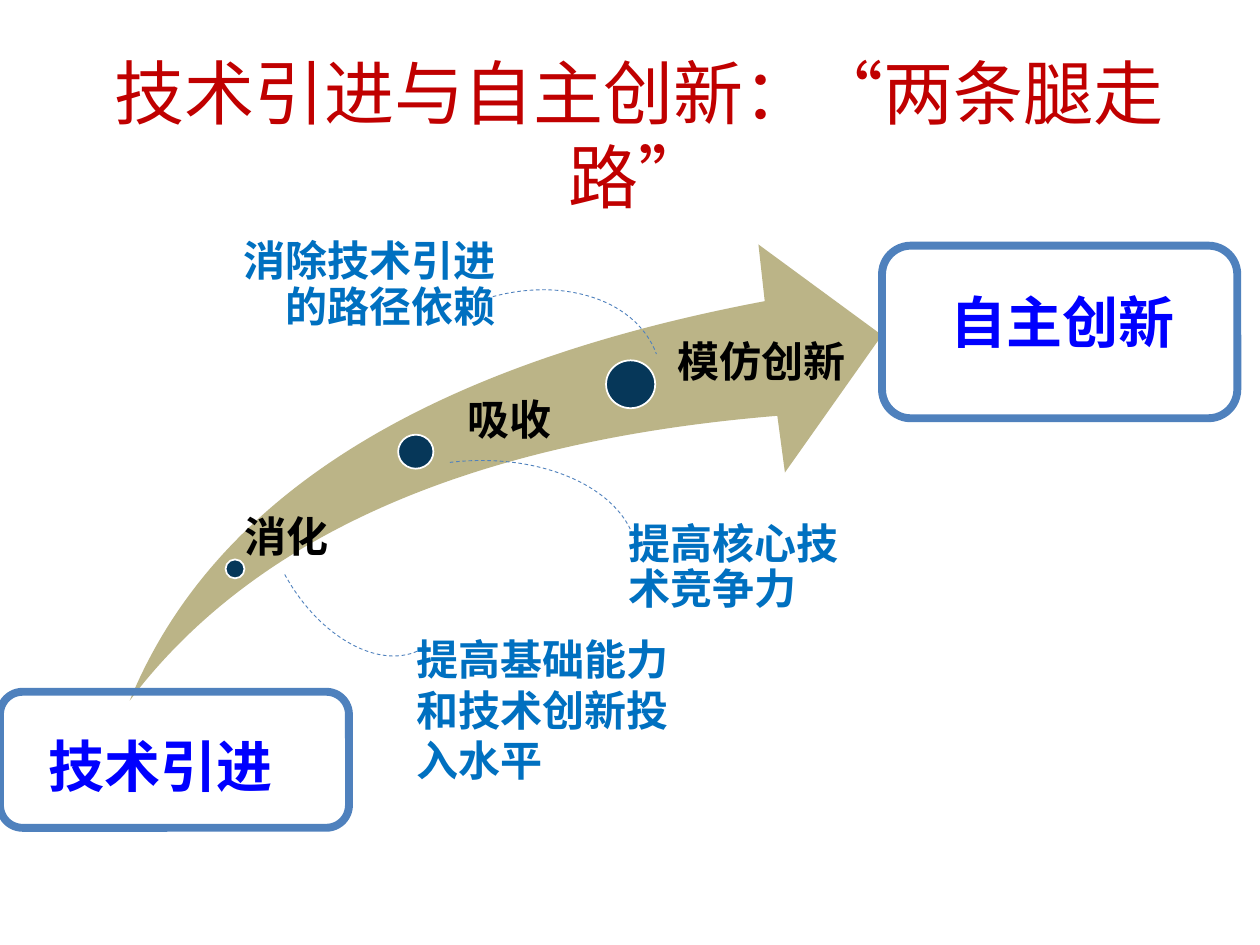
from typing import NamedTuple

from lxml import etree
from pptx import Presentation
from pptx.dml.color import RGBColor
from pptx.enum.dml import MSO_LINE
from pptx.enum.shapes import MSO_SHAPE
from pptx.enum.text import MSO_ANCHOR, PP_ALIGN
from pptx.oxml.ns import qn
from pptx.util import Inches, Pt

ROUND, OVAL = MSO_SHAPE.ROUNDED_RECTANGLE, MSO_SHAPE.OVAL
LEFT, MID, RIGHT = PP_ALIGN.LEFT, PP_ALIGN.CENTER, PP_ALIGN.RIGHT
TOP, CENTER = MSO_ANCHOR.TOP, MSO_ANCHOR.MIDDLE
DASH = MSO_LINE.DASH

RED = RGBColor(0xC0, 0x00, 0x00)
BLUE = RGBColor(0x00, 0x00, 0xFF)
SKY = RGBColor(0x00, 0x70, 0xC0)
STEEL = RGBColor(0x4F, 0x81, 0xBD)
SAND = RGBColor(0xBB, 0xB4, 0x87)
NAVY = RGBColor(0x06, 0x37, 0x59)
BLACK = RGBColor(0, 0, 0)
WHITE = RGBColor(0xFF, 0xFF, 0xFF)

SANS, ARIAL, TITLE = "Noto Sans CJK SC", "Arial", "Noto Sans CJK JP"
PAD = (0.1, 0.05, 0.1, 0.05)

Point = tuple[float, float]
Step = tuple[Point, ...]


class Label(NamedTuple):
    text: str
    box: tuple[float, float, float, float]
    color: RGBColor
    font: str = SANS
    size: int = 24
    align: PP_ALIGN = LEFT
    gap: float = 1.0
    pad: tuple[float, float, float, float] = PAD
    bold: bool = True
    anchor: MSO_ANCHOR = TOP
    free: bool = False


class Dot(NamedTuple):
    x: float
    y: float
    w: float
    h: float


class Route(NamedTuple):
    start: Point
    steps: list[Step]


LABELS = [
    Label("技术引进与自主创新：“两条腿走路”", (0.4, 0.36, 9.34, 1.4), RED,
          TITLE, 40, MID, bold=False, anchor=CENTER),
    Label("技术引进", (0, 5.76, 2.55, 0.64), BLUE, size=32, align=MID),
    Label("自主创新", (7.08, 2.23, 2.71, 0.64), BLUE, size=32, align=MID),
    Label("消化", (1.87, 4.1, 0.81, 0.34), BLACK, ARIAL, gap=0.9,
          pad=(0.07, 0, 0, 0), free=True),
    Label("提高核心技术竞争力", (4.87, 4.15, 2.03, 1.05), SKY, gap=0.9,
          pad=(0.12, 0, 0, 0), free=True),
    Label("模仿创新", (5.28, 2.66, 1.71, 0.46), BLACK, ARIAL, gap=0.9),
    Label("提高基础能力和技术创新投入水平", (3.21, 4.98, 2.21, 1.31), SKY),
    Label("吸收", (3.61, 3.12, 0.99, 0.46), BLACK, ARIAL, gap=0.9),
    Label("消除技术引进的路径依赖", (1.53, 1.91, 2.4, 0.8), SKY,
          align=RIGHT, gap=0.9, pad=(0.12, 0, 0, 0), free=True),
]
DOTS = [
    Dot(1.79, 4.44, 0.15, 0.15),
    Dot(3.16, 3.45, 0.28, 0.27),
    Dot(4.81, 2.86, 0.39, 0.38),
]
FRAMES = [Dot(7, 1.95, 2.82, 1.37), Dot(0, 5.49, 2.77, 1.08)]
ARCS = [
    Route((3.77, 2.4), [((4.39, 2.17), (5.04, 2.35), (5.21, 2.81))]),
    Route((2.26, 4.56), [((2.54, 5.07), (3.03, 5.33), (3.35, 5.15))]),
    Route((3.57, 3.67), [((4.33, 3.58), (5, 3.9), (5.06, 4.39))]),
]
ARROW = Route((1.03, 5.56), [
    ((1.69, 3.95), (3.37, 2.9), (6.07, 2.39)),
    ((6.02, 1.94),),
    ((7, 2.66),),
    ((6.23, 3.75),),
    ((6.17, 3.3),),
    ((3.74, 3.5), (2.02, 4.25), (1.03, 5.56)),
])


def draw_route(shapes, route: Route, close: bool):
    spots = [(Inches(x), Inches(y)) for step in route.steps for x, y in step]
    pen = shapes.build_freeform(*map(Inches, route.start))
    pen.add_line_segments(spots, close=close)
    shape = pen.convert_to_shape()
    lines = iter(list(shape._element.iter(qn("a:lnTo"))))
    for step in route.steps:
        group = [next(lines) for _ in step]
        if len(group) == 3:
            bend = etree.Element(qn("a:cubicBezTo"))
            group[0].addprevious(bend)
            for line in group:
                bend.append(line[0])
                line.getparent().remove(line)
    shape.shadow.inherit = False
    return shape


def draw_arrow(shapes) -> None:
    shape = draw_route(shapes, ARROW, True)
    shape.fill.solid()
    shape.fill.fore_color.rgb = SAND
    shape.line.fill.background()


def draw_arc(shapes, arc: Route) -> None:
    shape = draw_route(shapes, arc, False)
    shape.fill.background()
    shape.line.color.rgb = STEEL
    shape.line.width = Pt(0.5)
    shape.line.dash_style = DASH


def draw_shape(shapes, kind: MSO_SHAPE, dot: Dot, line: RGBColor,
               width: float, fill: RGBColor | None = None) -> None:
    shape = shapes.add_shape(kind, *map(Inches, dot))
    shape.shadow.inherit = False
    if fill is None:
        shape.fill.background()
    else:
        shape.fill.solid()
        shape.fill.fore_color.rgb = fill
    shape.line.color.rgb = line
    shape.line.width = Pt(width)


def draw_panel(shapes, box: tuple[float, float, float, float]):
    x, y, w, h = box
    sides = [((x + w, y),), ((x + w, y + h),), ((x, y + h),)]
    shape = draw_route(shapes, Route((x, y), sides), True)
    shape.fill.background()
    shape.line.fill.background()
    return shape


def draw_label(shapes, label: Label) -> None:
    if label.free:
        shape = draw_panel(shapes, label.box)
    else:
        shape = shapes.add_textbox(*map(Inches, label.box))
    frame = shape.text_frame
    frame.word_wrap = True
    frame.vertical_anchor = label.anchor
    (frame.margin_left, frame.margin_top, frame.margin_right,
     frame.margin_bottom) = map(Inches, label.pad)
    para = frame.paragraphs[0]
    para.alignment = label.align
    para.line_spacing = label.gap
    run = para.add_run()
    run.text = label.text
    font = run.font
    font.name = label.font
    font.size = Pt(label.size)
    font.bold = label.bold
    font.color.rgb = label.color
    props = run._r.get_or_add_rPr()
    props.set("lang", "zh-CN")
    east = etree.SubElement(props, qn("a:ea"))
    east.set("typeface", label.font)


def main() -> None:
    deck = Presentation()
    deck.slide_width, deck.slide_height = Inches(10), Inches(7.5)
    shapes = deck.slides.add_slide(deck.slide_layouts[6]).shapes
    draw_arrow(shapes)
    for dot in DOTS:
        draw_shape(shapes, OVAL, dot, WHITE, 1, NAVY)
    for arc in ARCS:
        draw_arc(shapes, arc)
    for frame in FRAMES:
        draw_shape(shapes, ROUND, frame, STEEL, 4.5)
    for label in LABELS:
        draw_label(shapes, label)
    deck.save("out.pptx")


if __name__ == "__main__":
    main()
